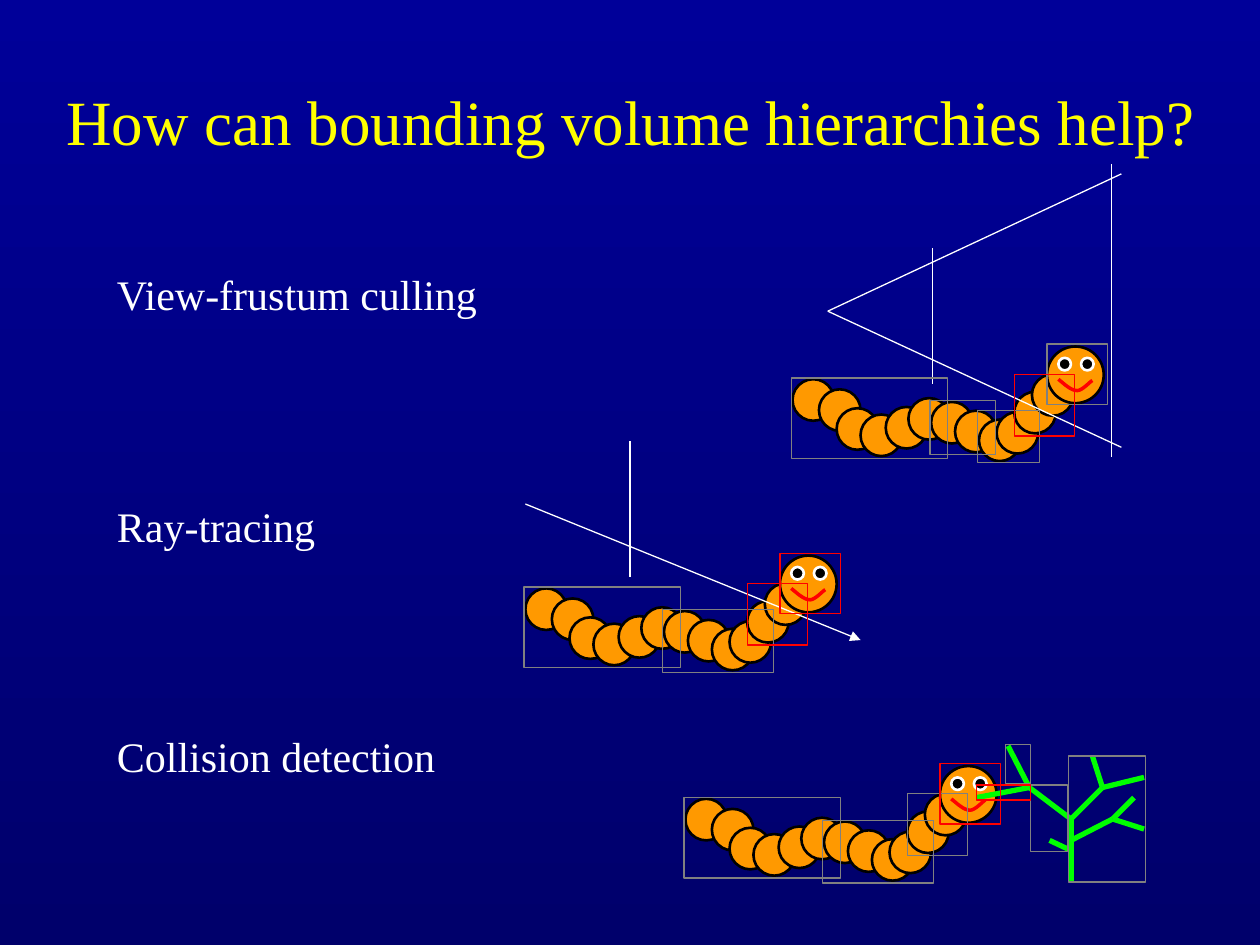
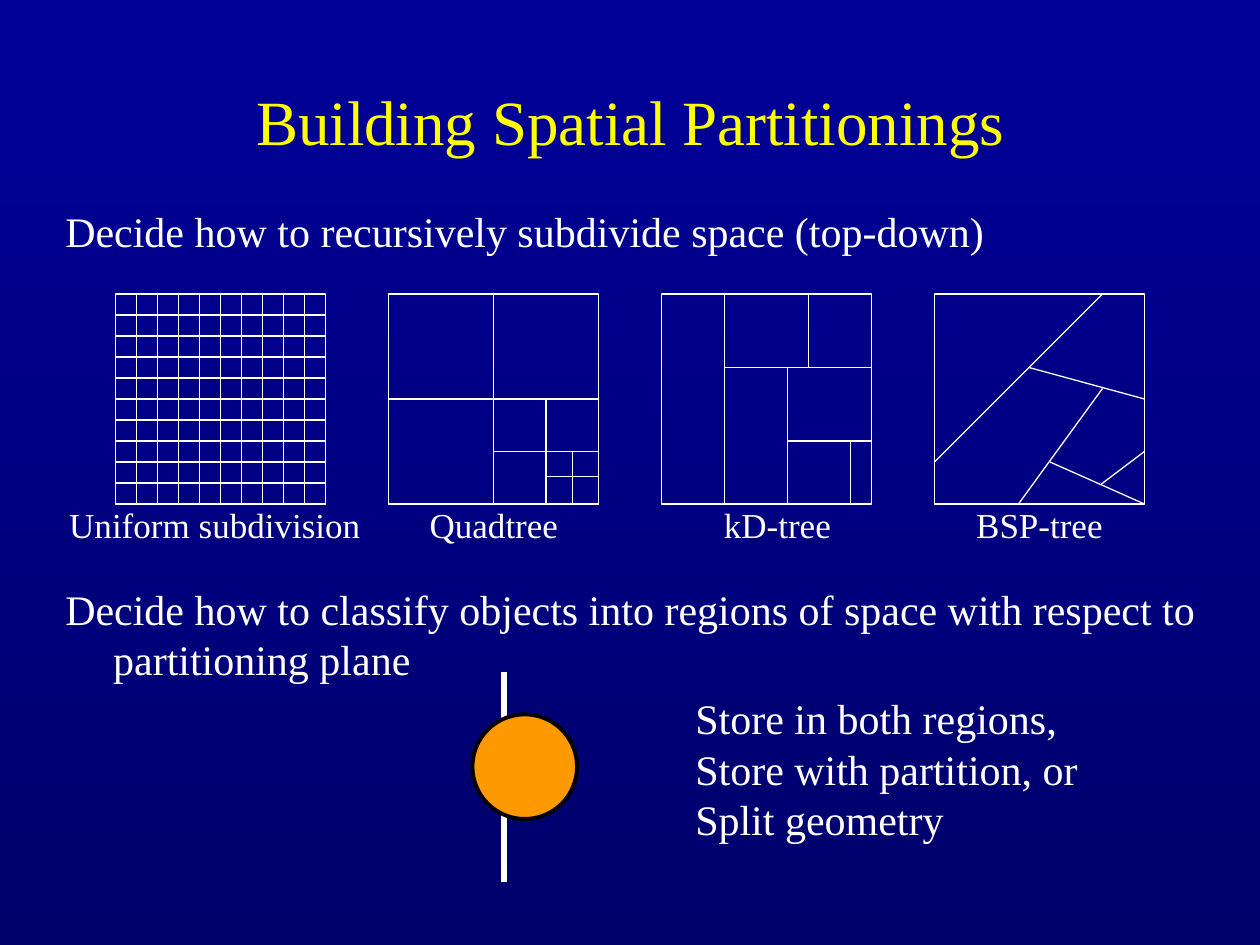
"""Builds two slides on bounding volume hierarchies and spatial partitionings."""
from lxml.etree import SubElement
from pptx import Presentation
from pptx.dml.color import RGBColor
from pptx.enum.shapes import MSO_CONNECTOR, MSO_SHAPE
from pptx.enum.text import MSO_ANCHOR, PP_ALIGN
from pptx.oxml.ns import qn
from pptx.util import Inches, Pt

FONT = "Times New Roman"
WHITE, BLACK, YELLOW, ORANGE = "FFFFFF", "000000", "FFFF00", "FF9900"
RED, GREEN, GRAY = "FF0000", "00FF00", "808080"
BACKGROUND = ("000099", "00006B")
TITLE_BOX = (0.42, 0.33, 9.17, 1.25)

TOPICS = [("View-frustum culling", 2.08), ("Ray-tracing", 3.92), ("Collision detection", 5.75)]

SEGMENT_SIZE, HEAD_SIZE, EYE_SIZE = 0.33, 0.45, 0.1
SEGMENTS = [(0, 0), (0.21, 0.08), (0.35, 0.23), (0.54, 0.28), (0.74, 0.22), (0.92, 0.15),
            (1.1, 0.18), (1.29, 0.25), (1.48, 0.32), (1.62, 0.26), (1.76, 0.1), (1.9, -0.04)]
HEAD = (2.02, -0.26)
EYES = [(2.11, -0.17), (2.29, -0.17)]
MOUTH = [((2.11, 0), (2.16, 0.04), (2.21, 0.09), (2.26, 0.09)),
         ((2.26, 0.09), (2.3, 0.09), (2.36, 0.02), (2.38, 0.01))]

TAIL_BOX = (-0.01, -0.01, 1.24, 0.64)
MIDDLE_BOX = (1.09, 0.17, 0.88, 0.5)
MIDDLE_HALVES = [(1.09, 0.17, 0.52, 0.43), (1.47, 0.25, 0.49, 0.41)]
NECK_BOX = (1.76, -0.04, 0.48, 0.49)
HEAD_BOX = (2.02, -0.28, 0.48, 0.48)
CATERPILLARS = [
    {"at": (6.29, 3.01), "clear": [TAIL_BOX, *MIDDLE_HALVES, HEAD_BOX], "hit": [NECK_BOX]},
    {"at": (4.17, 4.67), "clear": [TAIL_BOX, MIDDLE_BOX], "hit": [NECK_BOX, HEAD_BOX]},
    {"at": (5.44, 6.34), "clear": [TAIL_BOX, MIDDLE_BOX, NECK_BOX], "hit": [HEAD_BOX]},
]

FRUSTUM = [(6.57, 2.47, 8.9, 3.55), (6.57, 2.47, 8.9, 1.38),
           (8.82, 1.3, 8.82, 3.63), (7.4, 1.97, 7.4, 3.05)]
IMAGE_PLANE = (5, 3.5, 5, 4.58)
RAY = (4.17, 4, 6.83, 5.08)
BRANCHES = [(8.5, 7, 8.5, 6.5), (8.5, 6.5, 8.75, 6.25), (8.5, 6.5, 8.17, 6.25),
            (8.17, 6.25, 8, 5.92), (8.17, 6.25, 7.75, 6.33), (8.75, 6.25, 8.67, 6),
            (8.75, 6.25, 9.08, 6.17), (8.5, 6.67, 8.83, 6.5), (8.83, 6.5, 9.08, 6.58),
            (8.83, 6.5, 9, 6.33), (8.5, 6.75, 8.33, 6.67)]
TREE_BOXES = [(8.48, 6, 0.61, 1, GRAY), (8.18, 6.23, 0.29, 0.53, GRAY),
              (7.98, 5.91, 0.2, 0.31, GRAY), (7.75, 6.23, 0.43, 0.12, RED)]

STEPS = [("Decide how to recursively subdivide space (top-down)", (0.42, 1.58, 9.17, 0.58)),
         ("Decide how to classify objects into regions of space with respect to partitioning plane",
          (0.42, 4.58, 9.33, 0.92))]
CHOICES = "Store in both regions,\vStore with partition, or\vSplit geometry"
UNIT = 1 / 12
SIDE = 20
FIRST_SQUARE, SQUARE_TOP, SQUARE_PITCH = 11 / 12, 28 / 12, 26 / 12
GRID_LINES = [line for step in range(2, SIDE, 2)
              for line in ((step, 0, step, SIDE), (0, step, SIDE, step))]
PARTITIONINGS = [
    {"name": "Uniform subdivision", "label": (0.33, 2.75), "squares": [], "lines": GRID_LINES},
    {"name": "Quadtree", "label": (2.92, 2),
     "squares": [(0, 0, 10), (10, 10, 10), (10, 10, 5), (15, 15, 5)],
     "lines": [(17.5, 15, 17.5, 20), (15, 17.4, 20, 17.4)]},
    {"name": "kD-tree", "label": (5.17, 2), "squares": [],
     "lines": [(6, 0, 6, 20), (6, 7, 20, 7), (14, 7, 14, 0),
               (12, 7, 12, 20), (12, 14, 20, 14), (18, 14, 18, 20)]},
    {"name": "BSP-tree", "label": (7.25, 2), "squares": [],
     "lines": [(0, 16, 16, 0), (9, 7, 20, 10), (16, 9, 8, 20),
               (20, 20, 11, 16), (15.9, 18.1, 20, 15)]},
]


def color(value):
    return RGBColor.from_string(value)


def style_line(shape, line_color, width):
    shape.line.color.rgb = color(line_color)
    shape.line.width = Pt(width)


def add_text(slide, text, box, size=24, text_color=WHITE, align=PP_ALIGN.LEFT,
             anchor=MSO_ANCHOR.TOP, hanging=False):
    text_frame = slide.shapes.add_textbox(*map(Inches, box)).text_frame
    text_frame.word_wrap = True
    text_frame.vertical_anchor = anchor
    paragraph = text_frame.paragraphs[0]
    paragraph.text = text
    paragraph.alignment = align
    if hanging:
        properties = paragraph._p.get_or_add_pPr()
        properties.set("marL", str(Inches(0.38)))
        properties.set("indent", str(-Inches(0.38)))
    for run in paragraph.runs:
        run.font.name = FONT
        run.font.size = Pt(size)
        run.font.color.rgb = color(text_color)


def add_outline(shapes, kind, box, line_color, width=0.75, fill=None):
    shape = shapes.add_shape(kind, *map(Inches, box))
    shape.shadow.inherit = False
    if fill:
        shape.fill.solid()
        shape.fill.fore_color.rgb = color(fill)
    else:
        shape.fill.background()
    style_line(shape, line_color, width)


def add_box(slide, box, line_color=WHITE):
    add_outline(slide.shapes, MSO_SHAPE.RECTANGLE, box, line_color)


def add_circle(shapes, left, top, size, fill=ORANGE, line_color=BLACK, width=1.5):
    add_outline(shapes, MSO_SHAPE.OVAL, (left, top, size, size), line_color, width, fill)


def add_line(slide, ends, line_color=WHITE, width=0.75, arrow=False):
    connector = slide.shapes.add_connector(MSO_CONNECTOR.STRAIGHT, *map(Inches, ends))
    style_line(connector, line_color, width)
    if arrow:
        SubElement(connector.line._get_or_add_ln(), qn("a:tailEnd"), type="triangle")
    SubElement(connector._element.spPr, qn("a:effectLst"))


def bezier_points(curve, steps=8):
    for step in range(steps + 1):
        t = step / steps
        weights = ((1 - t) ** 3, 3 * t * (1 - t) ** 2, 3 * t ** 2 * (1 - t), t ** 3)
        yield tuple(sum(weight * point[axis] for weight, point in zip(weights, curve))
                    for axis in (0, 1))


def add_caterpillar(slide, left, top):
    for x, y in SEGMENTS:
        add_circle(slide.shapes, left + x, top + y, SEGMENT_SIZE)
    head = slide.shapes.add_group_shape().shapes
    add_circle(head, left + HEAD[0], top + HEAD[1], HEAD_SIZE)
    for x, y in EYES:
        add_circle(head, left + x, top + y, EYE_SIZE, BLACK, WHITE)
    points = [(Inches(left + x), Inches(top + y))
              for curve in MOUTH for x, y in bezier_points(curve)]
    builder = head.build_freeform(*points[0])
    builder.add_line_segments(points[1:], close=False)
    mouth = builder.convert_to_shape()
    mouth.shadow.inherit = False
    mouth.fill.background()
    style_line(mouth, RED, 2)


def add_slide(presentation, title):
    slide = presentation.slides.add_slide(presentation.slide_layouts[6])
    fill = slide.background.fill
    fill.gradient()
    fill.gradient_angle = 270
    for stop, stop_color, position in zip(fill.gradient_stops, BACKGROUND, (0, 1)):
        stop.color.rgb = color(stop_color)
        stop.position = position
    add_text(slide, title, TITLE_BOX, 36, YELLOW, PP_ALIGN.CENTER, MSO_ANCHOR.MIDDLE)
    return slide


def build_hierarchies(presentation):
    slide = add_slide(presentation, "How can bounding volume hierarchies help?")
    for topic, top in TOPICS:
        add_text(slide, topic, (0.83, top, 3.17, 0.5), hanging=True)
    for caterpillar in CATERPILLARS:
        add_caterpillar(slide, *caterpillar["at"])
    for ends in [*FRUSTUM, IMAGE_PLANE]:
        add_line(slide, ends)
    add_line(slide, RAY, arrow=True)
    for ends in BRANCHES:
        add_line(slide, ends, GREEN, 3)
    for caterpillar in CATERPILLARS:
        left, top = caterpillar["at"]
        for state, line_color in (("clear", GRAY), ("hit", RED)):
            for x, y, width, height in caterpillar[state]:
                add_box(slide, (left + x, top + y, width, height), line_color)
    for *box, line_color in TREE_BOXES:
        add_box(slide, box, line_color)


def build_partitionings(presentation):
    slide = add_slide(presentation, "Building Spatial Partitionings")
    for text, box in STEPS:
        add_text(slide, text, box, hanging=True)
    for index, partitioning in enumerate(PARTITIONINGS):
        left = FIRST_SQUARE + index * SQUARE_PITCH
        for x, y, side in [(0, 0, SIDE), *partitioning["squares"]]:
            add_box(slide, (left + x * UNIT, SQUARE_TOP + y * UNIT, side * UNIT, side * UNIT))
        for x1, y1, x2, y2 in partitioning["lines"]:
            add_line(slide, (left + x1 * UNIT, SQUARE_TOP + y1 * UNIT,
                             left + x2 * UNIT, SQUARE_TOP + y2 * UNIT))
        label_left, label_width = partitioning["label"]
        add_text(slide, partitioning["name"], (label_left, 3.95, label_width, 0.43), 20,
                 align=PP_ALIGN.CENTER)
    add_text(slide, CHOICES, (5.42, 5.45, 3.33, 1.3))
    add_line(slide, (4, 5.33, 4, 7), width=3)
    add_circle(slide.shapes, 3.75, 5.67, 0.83, width=2.25)


def main():
    presentation = Presentation()
    presentation.slide_width, presentation.slide_height = Inches(10), Inches(7.5)
    build_hierarchies(presentation)
    build_partitionings(presentation)
    presentation.save("out.pptx")


if __name__ == "__main__":
    main()
